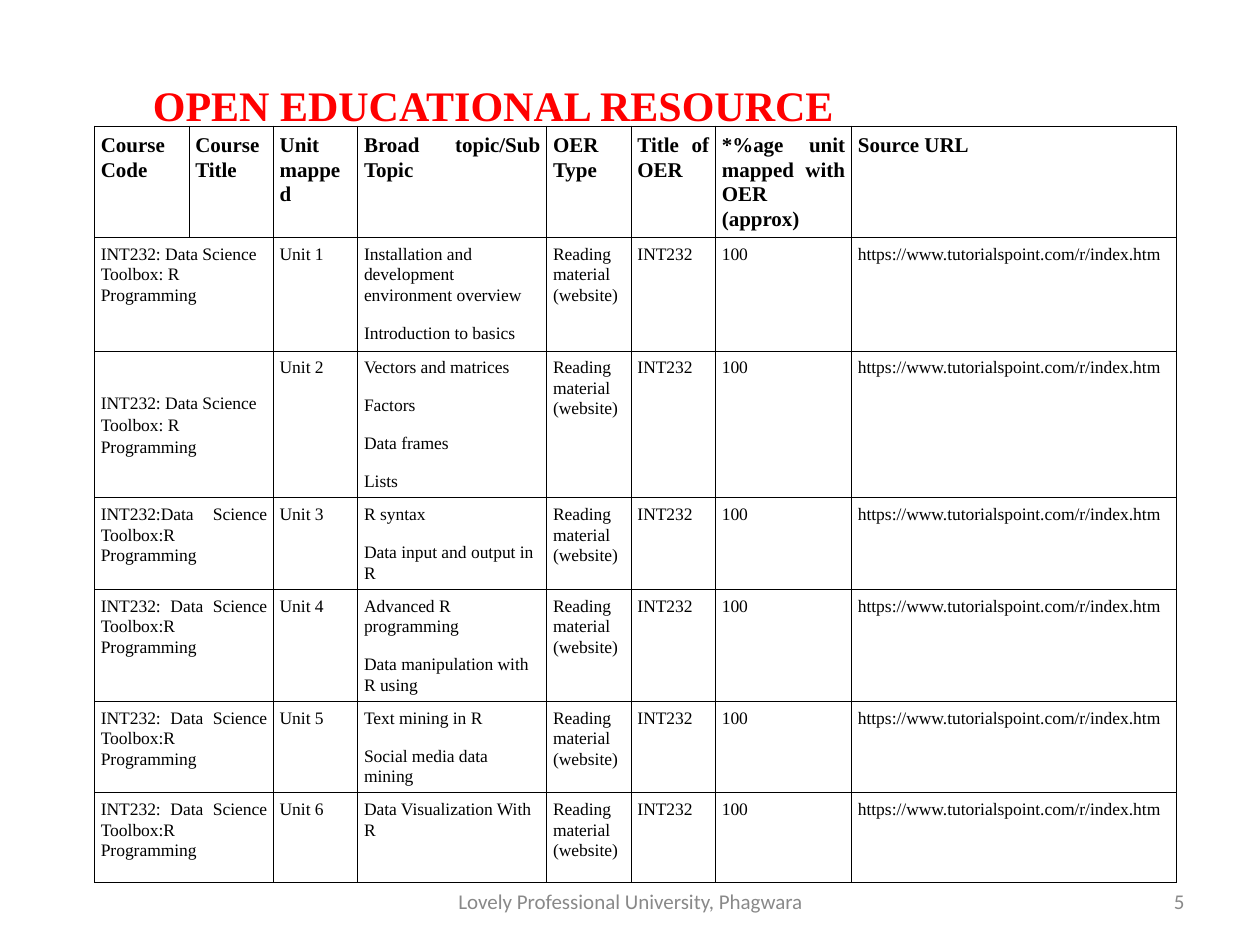
from dataclasses import dataclass

from lxml.etree import SubElement as Sub
from pptx import Presentation
from pptx.dml.color import RGBColor as RGB
from pptx.enum.text import MSO_ANCHOR as Anchor, PP_ALIGN as Align
from pptx.oxml.ns import qn
from pptx.util import Inches, Pt

HEAD = ["Course Code", "Course Title", "Unit mapped", "Broad topic/Sub Topic",
        "OER Type", "Title of OER", "*%age unit mapped with OER (approx)",
        "Source URL"]
OPEN = "INT232: Data Science Toolbox: R Programming"
TIGHT = "INT232: Data Science Toolbox:R Programming"
LEFT = dict(align=Align.LEFT)
# Course name, its format, topics of the unit
UNITS = [
    (OPEN, LEFT, ["Installation and development environment overview",
                  "Introduction to basics"]),
    (OPEN, dict(LEFT, anchor=Anchor.MIDDLE, line=1.15),
     ["Vectors and matrices", "Factors", "Data frames", "Lists"]),
    ("INT232:Data Science Toolbox:R Programming", {},
     ["R syntax", "Data input and output in R"]),
    (TIGHT, {}, ["Advanced R programming", "Data manipulation with R using"]),
    (TIGHT, {}, ["Text mining in R", "Social media data mining"]),
    (TIGHT, {}, ["Data Visualization With R"]),
]
SAME = ["Reading material (website)", "INT232", "100",
        "https://www.tutorialspoint.com/r/index.htm"]
COLS = [0.75, 0.67, 0.67, 1.5, 0.67, 0.67, 1.08, 2.58]
ROWS = [0.85, 0.9, 1.12, 0.71, 0.88, 0.67, 0.71]


@dataclass(frozen=True)
class Theme:
    serif: str = "Times New Roman"
    sans: str = "Calibri"
    ink: str = "000000"
    red: str = "FF0000"
    gray: str = "898989"
    title: int = 24
    head: int = 12
    body: int = 10
    foot: int = 12
    rule: float = 0.45


T = Theme()


def write(frame, lines, size=T.body, font=T.serif, color=T.ink, bold=False,
          align=Align.JUSTIFY, line=None, after=None):
    """Fill a text frame with one paragraph per line of text."""
    frame.word_wrap = True
    for i, text in enumerate(lines):
        para = frame.add_paragraph() if i else frame.paragraphs[0]
        para.alignment = align
        if line:
            para.line_spacing = line
        if after is not None:
            para.space_after = Pt(after)
        run = para.add_run()
        run.text = text
        run.font.size, run.font.name, run.font.bold = Pt(size), font, bold
        run.font.color.rgb = RGB.from_string(color)


def style(cell):
    cell.margin_left = cell.margin_right = Inches(0.05)
    cell.margin_top = cell.margin_bottom = Inches(0.05)
    props = cell._tc.get_or_add_tcPr()
    for side in ("a:lnL", "a:lnR", "a:lnT", "a:lnB"):
        edge = Sub(props, qn(side), w=str(Pt(T.rule)))
        Sub(Sub(edge, qn("a:solidFill")), qn("a:srgbClr"), val=T.ink)
    cell.fill.background()


def put(cell, lines, anchor=Anchor.TOP, line=1.06, **form):
    cell.vertical_anchor = anchor
    write(cell.text_frame, lines, line=line, after=10, **form)


def label(slide, box, text, **form):
    frame = slide.shapes.add_textbox(*map(Inches, box)).text_frame
    frame.vertical_anchor = Anchor.MIDDLE
    write(frame, [text], **form)


def grid(slide):
    table = slide.shapes.add_table(
        len(ROWS), len(COLS), Inches(0.75), Inches(1),
        Inches(sum(COLS)), Inches(sum(ROWS))).table
    table.first_row = table.horz_banding = False
    for col, wide in zip(table.columns, COLS):
        col.width = Inches(wide)
    for row, high in zip(table.rows, ROWS):
        row.height = Inches(high)
    for cell in table.iter_cells():
        style(cell)
    for c, text in enumerate(HEAD):
        put(table.cell(0, c), [text], size=T.head, bold=True)
    for r, (course, form, topics) in enumerate(UNITS, 1):
        table.cell(r, 0).merge(table.cell(r, 1))
        put(table.cell(r, 0), [course], **form)
        put(table.cell(r, 2), [f"Unit {r}"])
        put(table.cell(r, 3), topics, **LEFT)
        for c, text in enumerate(SAME, 4):
            put(table.cell(r, c), [text])


def main():
    deck = Presentation()
    deck.slide_width, deck.slide_height = Inches(10), Inches(7.5)
    slide = deck.slides.add_slide(deck.slide_layouts[6])
    grid(slide)
    foot = dict(size=T.foot, font=T.sans, color=T.gray)
    label(slide, (3.42, 6.95, 3.17, 0.4),
          "Lovely Professional University, Phagwara",
          align=Align.CENTER, **foot)
    label(slide, (7.17, 6.95, 2.33, 0.4), "5", align=Align.RIGHT, **foot)
    label(slide, (0, 0.58, 7.83, 0.5), "OPEN EDUCATIONAL RESOURCE",
          size=T.title, color=T.red, bold=True, align=Align.CENTER)
    deck.save("out.pptx")


if __name__ == "__main__":
    main()
